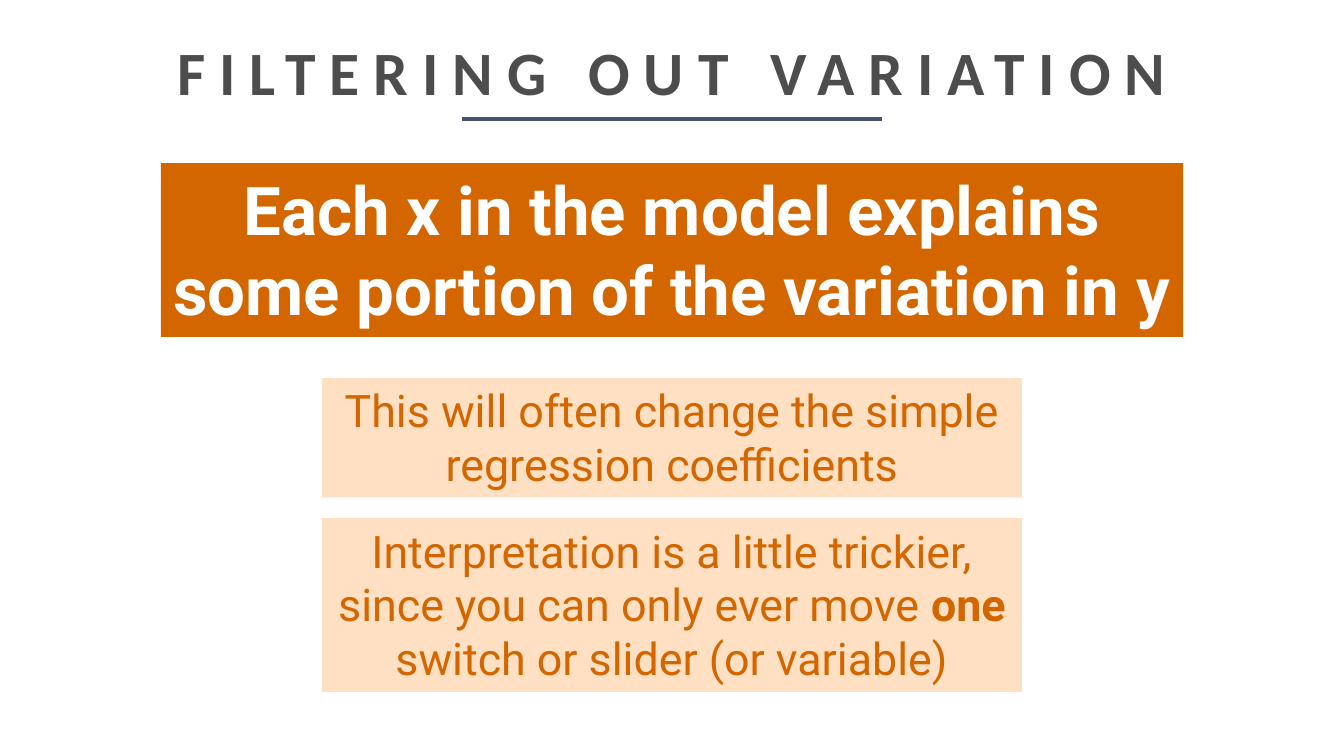
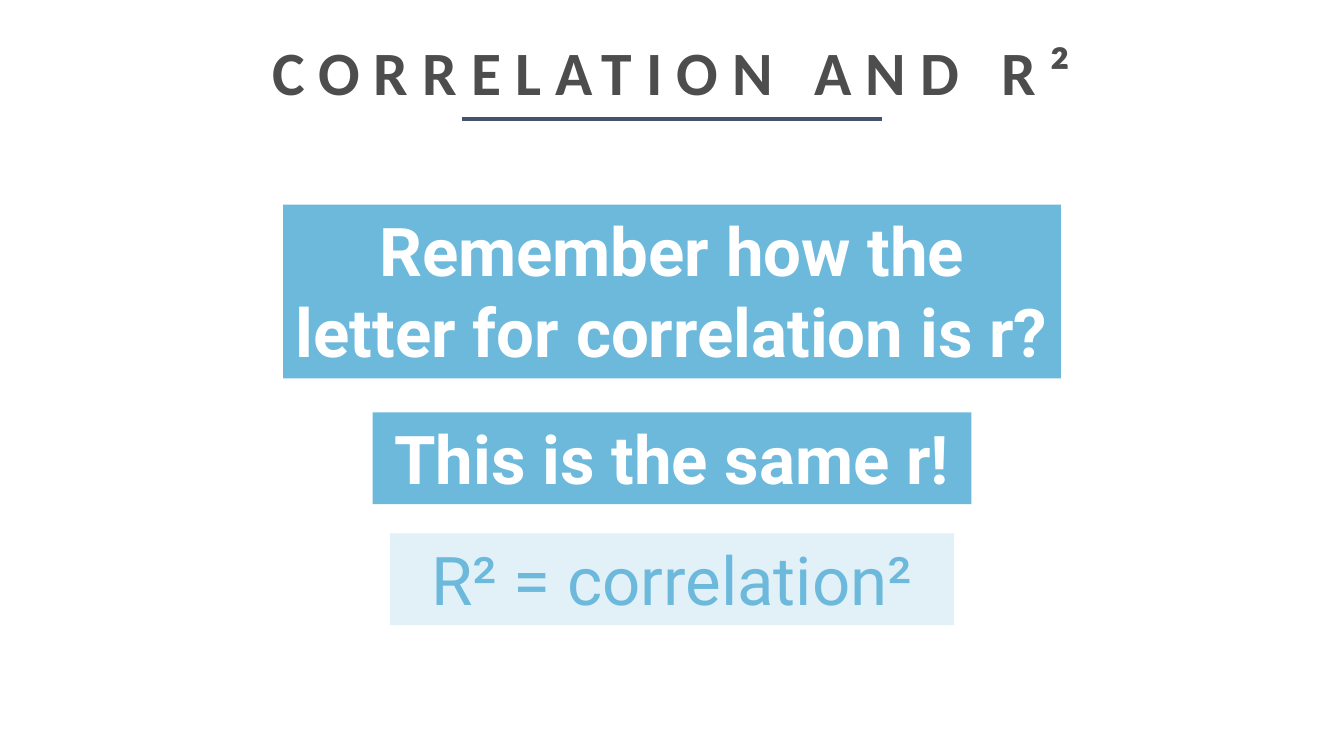
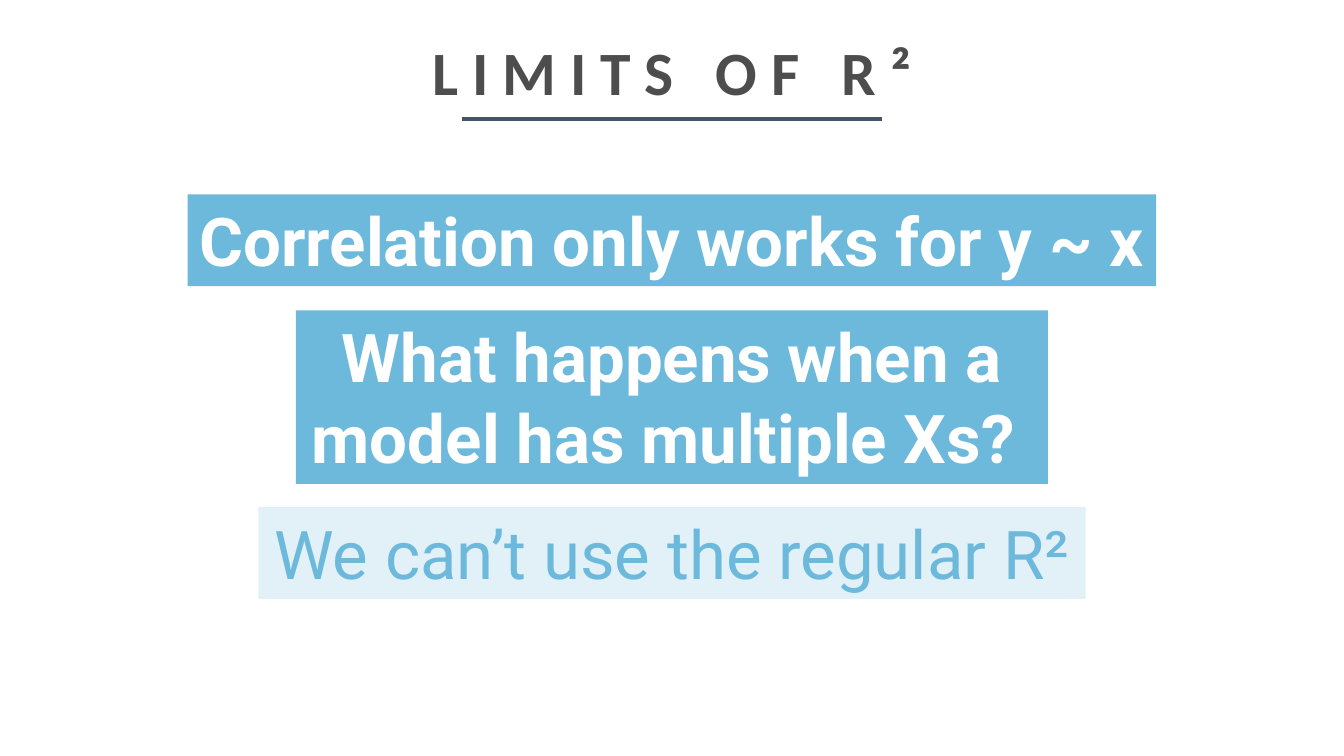
from lxml import etree
from pptx import Presentation
from pptx.dml.color import RGBColor
from pptx.enum.shapes import MSO_CONNECTOR, MSO_SHAPE
from pptx.enum.text import MSO_ANCHOR, MSO_AUTO_SIZE, PP_ALIGN
from pptx.oxml.ns import qn
from pptx.util import Cm, Pt

RECTANGLE = MSO_SHAPE.RECTANGLE
STRAIGHT = MSO_CONNECTOR.STRAIGHT
CENTER = PP_ALIGN.CENTER
TOP, MIDDLE = MSO_ANCHOR.TOP, MSO_ANCHOR.MIDDLE
GROW = MSO_AUTO_SIZE.SHAPE_TO_FIT_TEXT

WHITE = RGBColor(0xFF, 0xFF, 0xFF)
GRAY = RGBColor(0x4D, 0x4D, 0x4D)
SLATE = RGBColor(0x44, 0x54, 0x6A)
ORANGE = RGBColor(0xD4, 0x66, 0x00)
PEACH = RGBColor(0xFF, 0xE0, 0xC3)
BLUE = RGBColor(0x6C, 0xB9, 0xDC)
PALE_BLUE = RGBColor(0xE2, 0xF1, 0xF8)


class Deck:
    width, height = 33.87, 19.05
    title_font, body_font = "Calibri", "Roboto"
    line_per_point = 0.043
    box_padding = 0.25

    def __init__(self):
        self.deck = Presentation()
        self.deck.slide_width = Cm(self.width)
        self.deck.slide_height = Cm(self.height)
        self.page = None

    def centered(self, width):
        return Cm((self.width - width) / 2)

    def format_span(self, span, font, size, color, bold):
        span.font.name = font
        span.font.size = Pt(size)
        span.font.color.rgb = color
        span.font.bold = bold

    def add_page(self, title):
        self.page = self.deck.slides.add_slide(self.deck.slide_layouts[6])
        self.add_title(title)
        self.add_rule()

    def add_title(self, title):
        width = 29.21
        box = self.page.shapes.add_textbox(
            self.centered(width), Cm(0.43), Cm(width), Cm(2.54))
        frame = box.text_frame
        frame.word_wrap = True
        frame.vertical_anchor = MIDDLE
        frame.text = title
        para = frame.paragraphs[0]
        para.alignment = CENTER
        para.line_spacing = 1.1
        span = para.runs[0]
        self.format_span(span, self.title_font, 44, GRAY, True)
        span.font._element.set("spc", "1000")

    def add_rule(self):
        length, top = 10.6, Cm(3)
        left = self.centered(length)
        rule = self.page.shapes.add_connector(
            STRAIGHT, left, top, left + Cm(length), top)
        rule.line.color.rgb = SLATE
        rule.line.width = Pt(3)
        etree.SubElement(rule._element.spPr, qn("a:effectLst"))

    def add_box(self, spans, top, width, lines, size, fill, color, bold):
        height = self.box_padding + lines * size * self.line_per_point
        box = self.page.shapes.add_shape(
            RECTANGLE, self.centered(width), Cm(top), Cm(width), Cm(height))
        box.shadow.inherit = False
        box.fill.solid()
        box.fill.fore_color.rgb = fill
        box.line.fill.background()
        frame = box.text_frame
        frame.word_wrap = True
        frame.auto_size = GROW
        frame.vertical_anchor = TOP
        para = frame.paragraphs[0]
        para.alignment = CENTER
        for index, text in enumerate(spans):
            span = para.add_run()
            span.text = text
            emphasized = index % 2 == 1
            self.format_span(span, self.body_font, size, color,
                             bold or emphasized)

    def add_headline(self, text, top, width, lines, fill):
        self.add_box([text], top, width, lines, 48, fill, WHITE, True)

    def add_note(self, spans, top, width, lines, size, fill, color):
        self.add_box(spans, top, width, lines, size, fill, color, False)

    def save(self):
        self.deck.save("out.pptx")


def main():
    deck = Deck()

    deck.add_page("FILTERING OUT VARIATION")
    deck.add_headline(
        "Each x in the model explains some portion of the variation in y",
        4.11, 25.76, 2, ORANGE)
    deck.add_note(
        ["This will often change the simple regression coefficients"],
        9.53, 17.65, 2, 32, PEACH, ORANGE)
    deck.add_note(
        ["Interpretation is a little trickier, since you can only ever move ",
         "one", " switch or slider (or variable)"],
        13.06, 17.65, 3, 32, PEACH, ORANGE)

    deck.add_page("CORRELATION AND R²")
    deck.add_headline("Remember how the letter for correlation is r?",
                      5.16, 19.6, 2, BLUE)
    deck.add_headline("This is the same r!", 10.39, 15.09, 1, BLUE)
    deck.add_note(["R² = correlation²"], 13.44, 14.22, 1, 48, PALE_BLUE, BLUE)

    deck.add_page("LIMITS OF R²")
    deck.add_headline("Correlation only works for y ~ x",
                      4.9, 24.41, 1, BLUE)
    deck.add_headline("What happens when a model has multiple Xs? ",
                      7.82, 18.95, 2, BLUE)
    deck.add_note(["We can’t use the regular R²"],
                  12.78, 20.85, 1, 48, PALE_BLUE, BLUE)

    deck.save()


if __name__ == "__main__":
    main()
